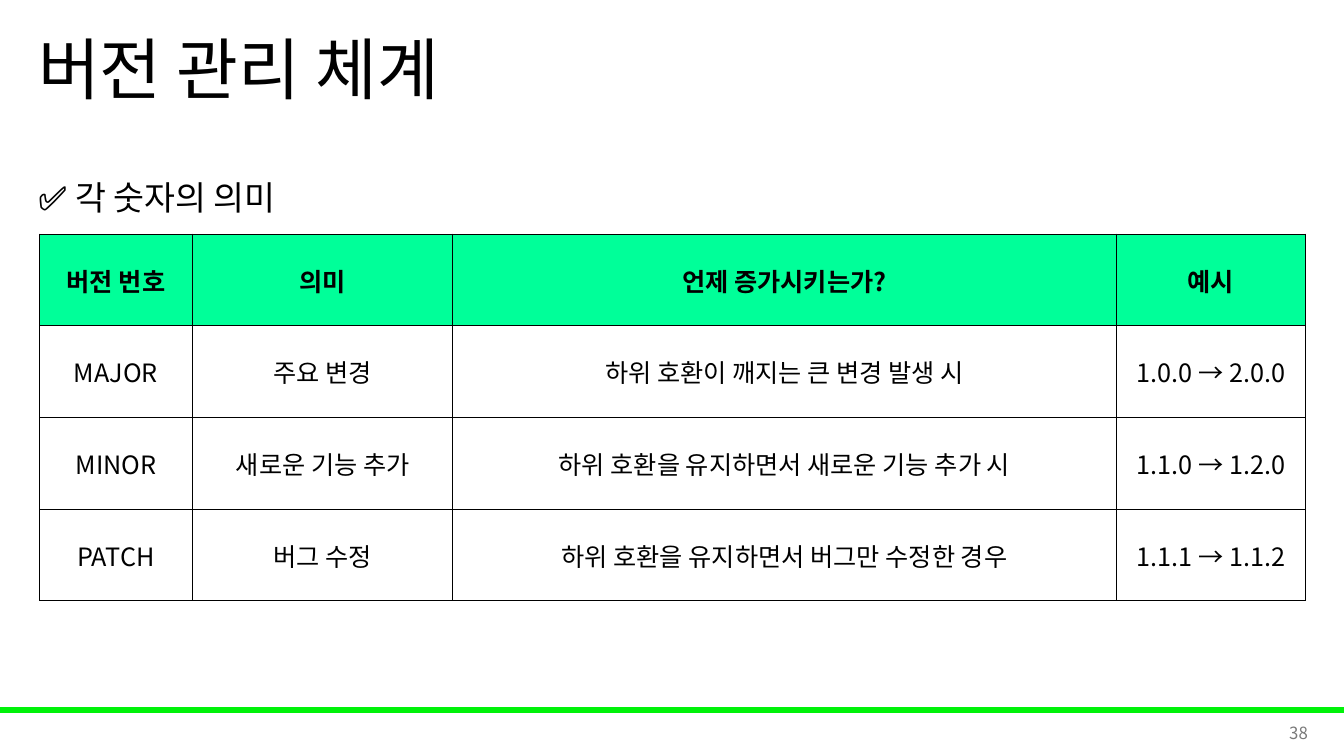
from dataclasses import dataclass

from lxml import etree
from pptx import Presentation
from pptx import util as u
from pptx.dml.color import RGBColor
from pptx.enum import shapes, text
from pptx.oxml import ns

WIDE, HIGH = 13.33, 7.5
EDGE = 0.28
COLS = (1.52, 2.58, 6.58, 1.88)
ROW = 0.91
ROWS = (
    ("버전 번호", "의미", "언제 증가시키는가?", "예시"),
    ("MAJOR", "주요 변경", "하위 호환이 깨지는 큰 변경 발생 시", "1.0.0 → 2.0.0"),
    ("MINOR", "새로운 기능 추가", "하위 호환을 유지하면서 새로운 기능 추가 시", "1.1.0 → 1.2.0"),
    ("PATCH", "버그 수정", "하위 호환을 유지하면서 버그만 수정한 경우", "1.1.1 → 1.1.2"),
)


@dataclass(frozen=True)
class Theme:
    font: str = "Noto Sans CJK KR"
    ink: str = "000000"
    gray: str = "797979"
    bar: str = "00F209"
    head: str = "00FF99"
    title: int = 48
    lead: int = 24
    cell: int = 18
    page: int = 12
    rule: float = 0.5


THEME = Theme()


def color(code):
    return RGBColor.from_string(code)


def write(frame, words, size, ink=THEME.ink, bold=False, align="LEFT", lines=None):
    """Set one paragraph, with the same face for Latin and Korean letters."""
    para = frame.paragraphs[0]
    para.alignment = getattr(text.PP_ALIGN, align)
    if lines:
        para.line_spacing = lines
    run = para.add_run()
    run.text = words
    font = run.font
    font.name, font.size, font.bold = THEME.font, u.Pt(size), bold
    font.color.rgb = color(ink)
    props = run._r.get_or_add_rPr()
    etree.SubElement(props, ns.qn("a:ea"), typeface=THEME.font)


def label(slide, box, words, size, anchor="MIDDLE", **look):
    frame = slide.shapes.add_textbox(*map(u.Inches, box)).text_frame
    frame.word_wrap = True
    frame.vertical_anchor = getattr(text.MSO_ANCHOR, anchor)
    write(frame, words, size, **look)


def band(slide, top, high):
    bar = slide.shapes.add_shape(
        shapes.MSO_SHAPE.RECTANGLE, 0, u.Inches(top), u.Inches(WIDE), u.Inches(high))
    bar.shadow.inherit = False
    bar.fill.solid()
    bar.fill.fore_color.rgb = bar.line.color.rgb = color(THEME.bar)
    bar.line.width = u.Pt(1)


def border(cell):
    """Rule all four sides; border elements go ahead of the cell's fill."""
    props = cell._tc.get_or_add_tcPr()
    for spot, side in enumerate(("lnL", "lnR", "lnT", "lnB")):
        line = etree.Element(ns.qn(f"a:{side}"), w=str(u.Pt(THEME.rule)))
        fill = etree.SubElement(line, ns.qn("a:solidFill"))
        etree.SubElement(fill, ns.qn("a:srgbClr"), val=THEME.ink)
        props.insert(spot, line)


def fill_cell(cell, words, head):
    cell.margin_left = cell.margin_right = cell.margin_top = u.Inches(0.01)
    cell.margin_bottom = 0
    cell.vertical_anchor = text.MSO_ANCHOR.MIDDLE
    if head:
        cell.fill.solid()
        cell.fill.fore_color.rgb = color(THEME.head)
    else:
        cell.fill.background()
    border(cell)
    write(cell.text_frame, words, THEME.cell, bold=head, align="CENTER")


def grid(slide, left, top):
    size = map(u.Inches, (left, top, sum(COLS), ROW * len(ROWS)))
    table = slide.shapes.add_table(len(ROWS), len(COLS), *size).table
    for col, wide in zip(table.columns, COLS):
        col.width = u.Inches(wide)
    for r, row in enumerate(ROWS):
        for c, words in enumerate(row):
            fill_cell(table.cell(r, c), words, r == 0)


def main():
    deck = Presentation()
    deck.slide_width, deck.slide_height = u.Inches(WIDE), u.Inches(HIGH)
    slide = deck.slides.add_slide(deck.slide_layouts[6])
    band(slide, 7.02, 0.05)
    label(slide, (EDGE, 0, 11.5, 1.45), "버전 관리 체계", THEME.title, lines=0.9)
    label(slide, (WIDE - EDGE - 2.98, 7.07, 3, 0.4), "38", THEME.page,
          ink=THEME.gray, align="RIGHT")
    label(slide, (EDGE, 1.63, 8.69, 0.7), "✅ 각 숫자의 의미", THEME.lead,
          anchor="TOP", lines=1.2)
    grid(slide, 0.39, 2.32)
    deck.save("out.pptx")


if __name__ == "__main__":
    main()
